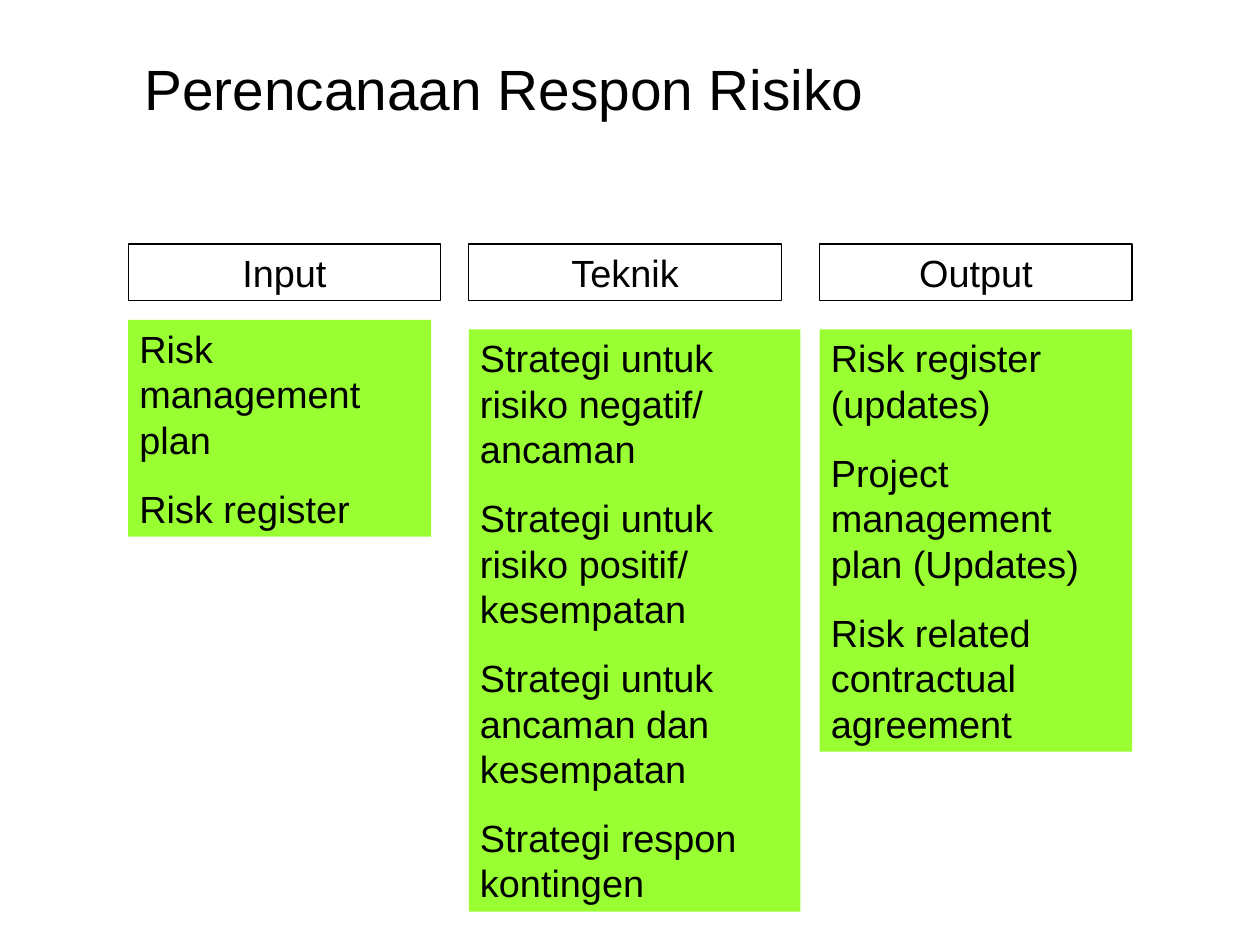
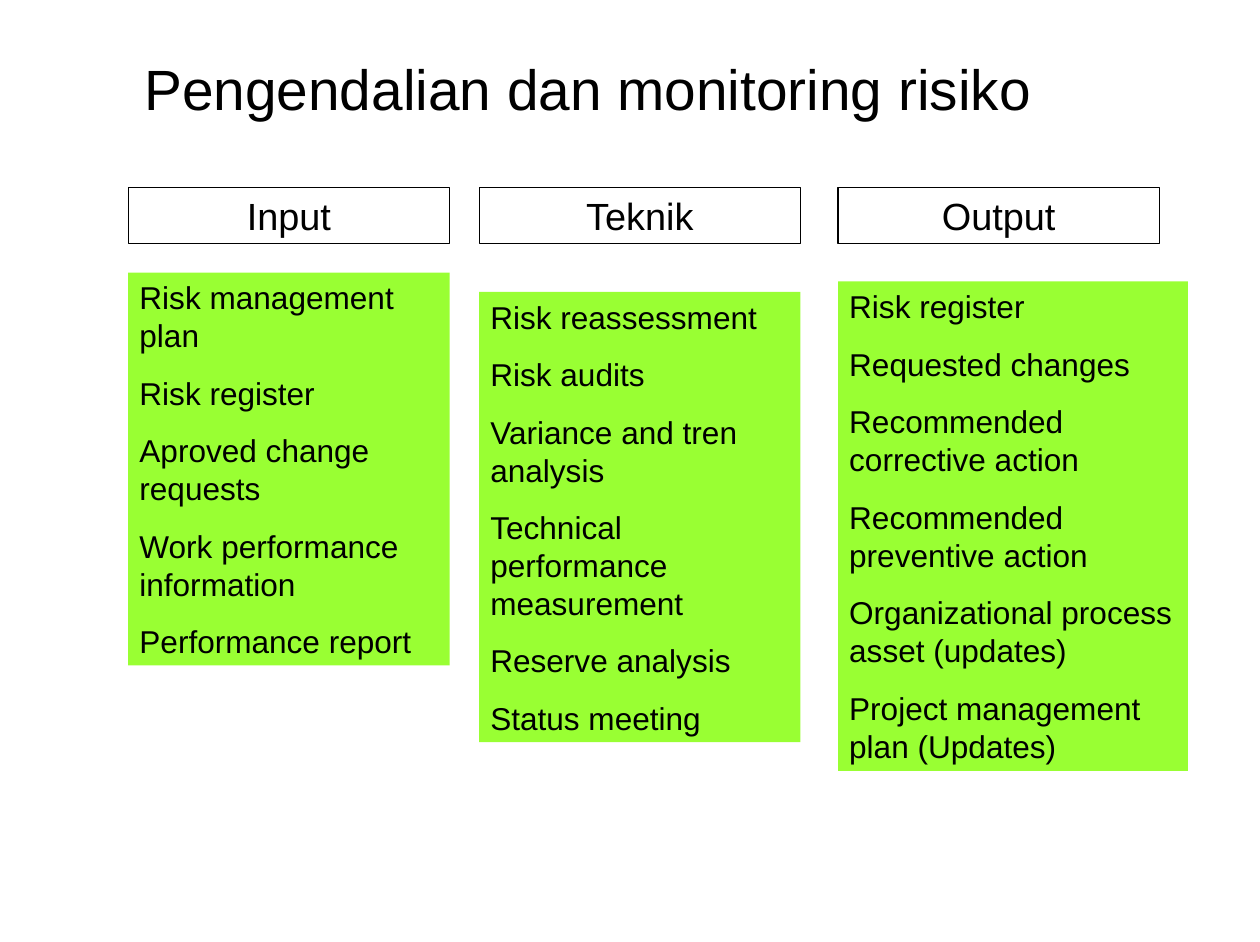
from pptx import Presentation
from pptx.dml.color import RGBColor
from pptx.enum.shapes import MSO_SHAPE
from pptx.enum.text import MSO_ANCHOR, PP_ALIGN
from pptx.util import Cm, Pt

RECTANGLE = MSO_SHAPE.RECTANGLE
TOP, MIDDLE = MSO_ANCHOR.TOP, MSO_ANCHOR.MIDDLE
LEFT, CENTER = PP_ALIGN.LEFT, PP_ALIGN.CENTER

COLORS = {"text": "000000", "border": "000000", "list": "99FF33", "background": "FFFFFF"}
FONT = "Arial"
LINE_FACTOR = 1.2
SPACE_FACTOR = 0.625
TITLE_SIZE, HEADER_SIZE = 36, 24
HEADER_HEIGHT = 1.27
HEADERS = ["Input", "Teknik", "Output"]

# Each list box: top, width, height (cm) and its items
SLIDES = [
    {
        "title": "Perencanaan Respon Risiko",
        "header_top": 5.46,
        "header_width": 6.99,
        "lefts": [2.87, 10.49, 18.34],
        "list_size": 24,
        "lists": [
            (7.16, 6.78, 4.85, ["Risk management plan", "Risk register"]),
            (7.37, 7.42, 13.03, [
                "Strategi untuk risiko negatif/ ancaman",
                "Strategi untuk risiko positif/ kesempatan",
                "Strategi untuk ancaman dan kesempatan",
                "Strategi respon kontingen",
            ]),
            (7.37, 6.99, 9.45, [
                "Risk register (updates)",
                "Project management plan (Updates)",
                "Risk related contractual agreement",
            ]),
        ],
    },
    {
        "title": "Pengendalian dan monitoring risiko",
        "header_top": 4.19,
        "header_width": 7.19,
        "lefts": [2.87, 10.72, 18.75],
        "list_size": 20,
        "lists": [
            (6.1, 7.19, 8.79, [
                "Risk management plan",
                "Risk register",
                "Aproved change requests",
                "Work performance information",
                "Performance report",
            ]),
            (6.53, 7.19, 10.08, [
                "Risk reassessment",
                "Risk audits",
                "Variance and tren analysis",
                "Technical performance measurement",
                "Reserve analysis",
                "Status meeting",
            ]),
            (6.3, 7.83, 10.95, [
                "Risk register",
                "Requested changes",
                "Recommended corrective action",
                "Recommended preventive action",
                "Organizational process asset (updates)",
                "Project management plan (Updates)",
            ]),
        ],
    },
]


def color(name):
    return RGBColor.from_string(COLORS[name])


def write_text(shape, lines, size, alignment=LEFT, anchor=TOP, insets=(0.25, 0.13)):
    frame = shape.text_frame
    frame.word_wrap = True
    frame.vertical_anchor = anchor
    frame.margin_left = frame.margin_right = Cm(insets[0])
    frame.margin_top = frame.margin_bottom = Cm(insets[1])
    for index, line in enumerate(lines):
        paragraph = frame.add_paragraph() if index else frame.paragraphs[0]
        paragraph.text = line
        paragraph.alignment = alignment
        paragraph.line_spacing = Pt(size * LINE_FACTOR)
        paragraph.space_before = Pt(size * SPACE_FACTOR if index else 0)
        paragraph.font.name = FONT
        paragraph.font.size = Pt(size)
        paragraph.font.color.rgb = color("text")


def add_title(slide, title):
    box = slide.shapes.add_textbox(Cm(2.95), Cm(0.21), Cm(24.77), Cm(3.5))
    write_text(box, [title], TITLE_SIZE, anchor=MIDDLE, insets=(0.28, 0.15))


def add_box(slide, left, top, width, height):
    box = slide.shapes.add_shape(RECTANGLE, Cm(left), Cm(top), Cm(width), Cm(height))
    box.shadow.inherit = False
    return box


def add_header(slide, left, top, width, label):
    box = add_box(slide, left, top, width, HEADER_HEIGHT)
    box.fill.background()
    box.line.color.rgb = color("border")
    box.line.width = Pt(0.75)
    write_text(box, [label], HEADER_SIZE, alignment=CENTER)


def add_list(slide, left, top, width, height, items, size):
    box = add_box(slide, left, top, width, height)
    box.fill.solid()
    box.fill.fore_color.rgb = color("list")
    box.line.fill.background()
    write_text(box, items, size)


def add_process_slide(presentation, content):
    slide = presentation.slides.add_slide(presentation.slide_layouts[6])
    slide.background.fill.solid()
    slide.background.fill.fore_color.rgb = color("background")
    add_title(slide, content["title"])
    # Header row
    for left, label in zip(content["lefts"], HEADERS):
        add_header(slide, left, content["header_top"], content["header_width"], label)
    # Lists under the headers
    for left, (top, width, height, items) in zip(content["lefts"], content["lists"]):
        add_list(slide, left, top, width, height, items, content["list_size"])


def main():
    presentation = Presentation()
    presentation.slide_width = Cm(28.19)
    presentation.slide_height = Cm(21.08)
    for content in SLIDES:
        add_process_slide(presentation, content)
    presentation.save("out.pptx")


if __name__ == "__main__":
    main()
